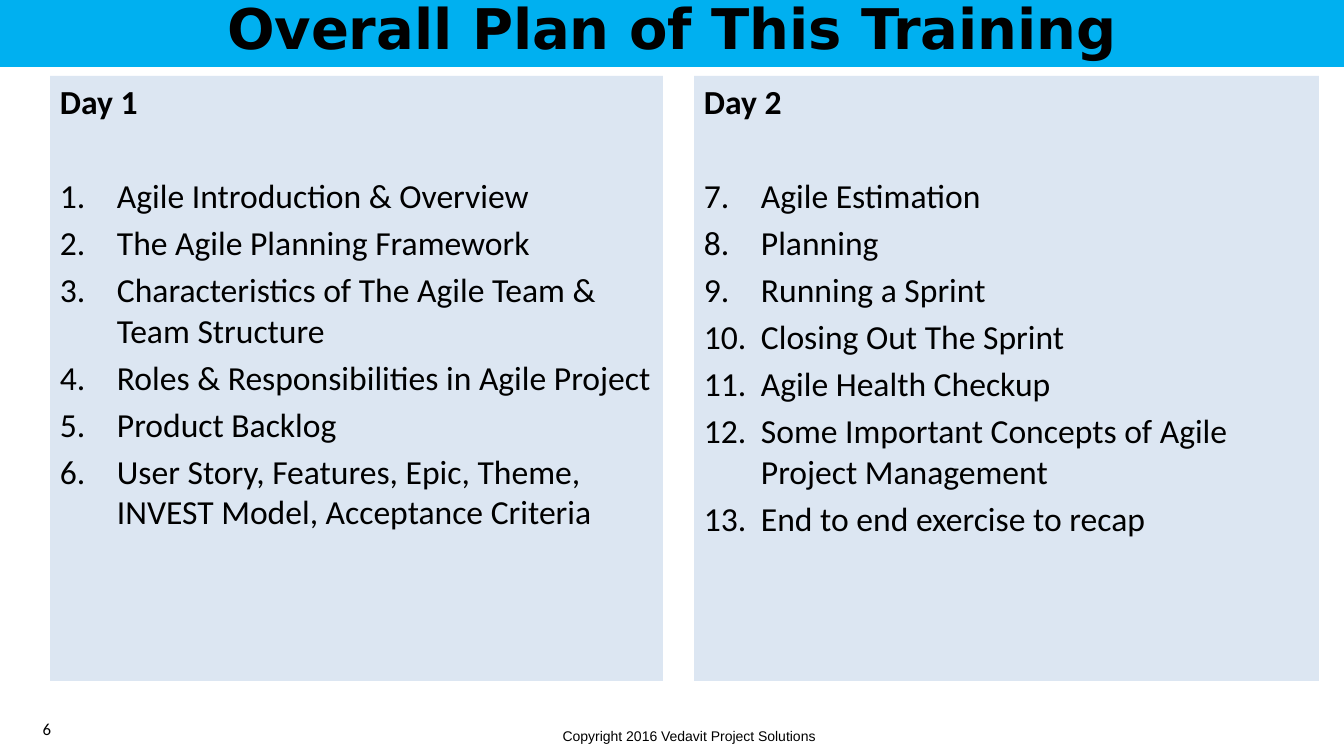
from pptx import Presentation
from pptx.dml.color import RGBColor
from pptx.enum.shapes import MSO_SHAPE
from pptx.enum.text import MSO_ANCHOR, PP_ALIGN
from pptx.oxml.ns import qn
from pptx.util import Pt
from lxml import etree

RECT = MSO_SHAPE.RECTANGLE
TOP, MIDDLE, BOTTOM = MSO_ANCHOR.TOP, MSO_ANCHOR.MIDDLE, MSO_ANCHOR.BOTTOM
LEFT, CENTER = PP_ALIGN.LEFT, PP_ALIGN.CENTER
BLACK = RGBColor(0x00, 0x00, 0x00)
SKY = RGBColor(0x00, 0xB0, 0xF0)
PALE = RGBColor(0xDC, 0xE6, 0xF2)
INDENT = 57

DAYS = [
    (50, 613, "Day 1", 1, [
        "Agile Introduction & Overview",
        "The Agile Planning Framework",
        "Characteristics of The Agile Team & Team Structure",
        "Roles & Responsibilities in Agile Project",
        "Product Backlog",
        "User Story, Features, Epic, Theme, INVEST Model, Acceptance Criteria",
    ]),
    (694, 625, "Day 2", 7, [
        "Agile Estimation",
        "Planning",
        "Running a Sprint",
        "Closing Out The Sprint",
        "Agile Health Checkup",
        "Some Important Concepts of Agile Project Management",
        "End to end exercise to recap",
    ]),
]


def px(n):
    return round(n * 914400 / 100.8)


def add_run(p, text, size, font="Calibri", bold=False, align=LEFT):
    p.alignment = align
    r = p.add_run()
    r.text = text
    r.font.size = Pt(size)
    r.font.name = font
    r.font.bold = bold
    r.font.color.rgb = BLACK


prs = Presentation()
prs.slide_width, prs.slide_height = px(1344), px(756)
s = prs.slides.add_slide(prs.slide_layouts[6])

panels = []
for x, y, w, h, fill, anchor in [
    (0, 0, 1344, 67, SKY, BOTTOM),
    *[(x, 76, w, 605, PALE, TOP) for x, w, *_ in DAYS],
]:
    sp = s.shapes.add_shape(RECT, px(x), px(y), px(w), px(h))
    sp.shadow.inherit = False
    sp.fill.solid()
    sp.fill.fore_color.rgb = fill
    sp.line.fill.background()
    sp.text_frame.word_wrap = True
    sp.text_frame.vertical_anchor = anchor
    panels.append(sp.text_frame)

title, *bodies = panels
title.margin_left = title.margin_right = px(6)
title.margin_top = title.margin_bottom = px(6)
add_run(title.paragraphs[0], "Overall Plan of This Training", 40, "DejaVu Sans", True, CENTER)

for tf, (x, w, day, start, topics) in zip(bodies, DAYS):
    add_run(tf.paragraphs[0], day, 24, bold=True)
    for i, topic in enumerate(topics):
        p = tf.add_paragraph()
        p.space_before = Pt(4.8 if i else 38.4)
        pPr = p._p.get_or_add_pPr()
        pPr.set("marL", str(px(INDENT)))
        pPr.set("indent", str(-px(INDENT)))
        etree.SubElement(pPr, qn("a:buFont"), typeface="+mj-lt")
        etree.SubElement(pPr, qn("a:buAutoNum"), type="arabicPeriod", startAt=str(start))
        add_run(p, topic, 24)

for x, y, w, h, text, size, font, anchor in [
    (493, 723, 392, 25, "Copyright 2016 Vedavit Project Solutions", 10, "Arial", TOP),
    (2, 709, 90, 40, "6", 12, "Calibri", MIDDLE),
]:
    tf = s.shapes.add_textbox(px(x), px(y), px(w), px(h)).text_frame
    tf.word_wrap = True
    tf.vertical_anchor = anchor
    add_run(tf.paragraphs[0], text, size, font, align=CENTER)

prs.save("out.pptx")
